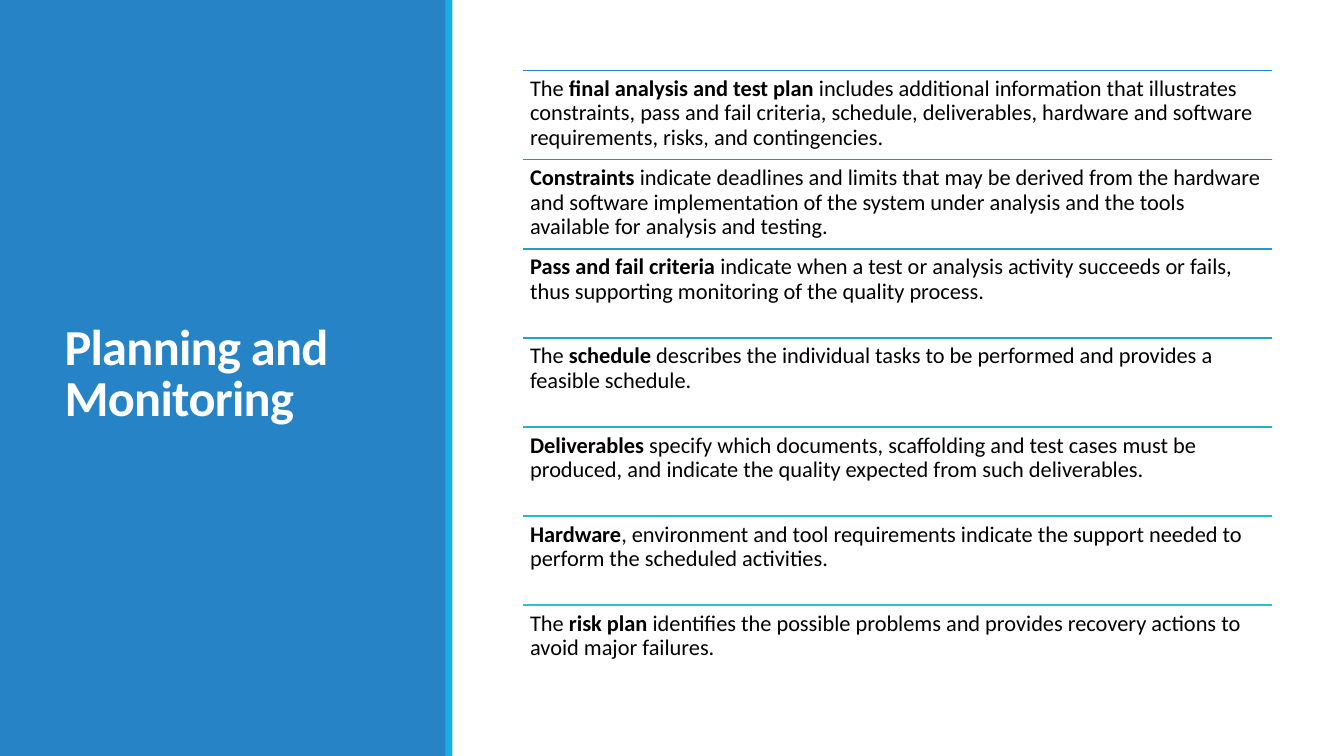
"""Build the Planning and Monitoring slide with its ruled list of plan parts."""
from pptx import Presentation
from pptx.dml.color import RGBColor as RGB
from pptx.enum.shapes import MSO_CONNECTOR as LINE, MSO_SHAPE as SHAPE
from pptx.enum.text import MSO_ANCHOR as ANCHOR, MSO_AUTO_SIZE as FIT, PP_ALIGN as ALIGN
from pptx.oxml.ns import qn
from pptx.util import Pt
from lxml.etree import SubElement as Sub

BLUE = RGB(0x26, 0x83, 0xC6)
CYAN = RGB(0x1C, 0xAD, 0xE4)
WHITE = RGB(0xFF, 0xFF, 0xFF)
BLACK = RGB(0, 0, 0)
RULES = [BLUE, RGB(0x26, 0x8E, 0xC7), RGB(0x27, 0x98, 0xC8), RGB(0x27, 0xA3, 0xC9),
         RGB(0x27, 0xAE, 0xCA), RGB(0x28, 0xB9, 0xCB), RGB(0x28, 0xC4, 0xCC)]

LEFT, TOP, WIDTH, STEP = 373.7, 50.4, 535, 63.6
HEAD = {"name": "Calibri", "size": Pt(36), "bold": True}
BODY = {"name": "Calibri", "size": Pt(16)}
FRAME = {"word_wrap": True, "auto_size": FIT.NONE, "margin_left": Pt(5), "margin_right": Pt(5),
         "margin_top": Pt(5), "margin_bottom": Pt(5)}

ITEMS = [
    ("The ", "final analysis and test plan",
     " includes additional information that illustrates constraints, pass and fail criteria, "
     "schedule, deliverables, hardware and software requirements, risks, and contingencies."),
    ("", "Constraints",
     " indicate deadlines and limits that may be derived from the hardware and software "
     "implementation of the system under analysis and the tools available for analysis and testing."),
    ("", "Pass and fail criteria",
     " indicate when a test or analysis activity succeeds or fails, "
     "thus supporting monitoring of the quality process."),
    ("The ", "schedule",
     " describes the individual tasks to be performed and provides a feasible schedule."),
    ("", "Deliverables",
     " specify which documents, scaffolding and test cases must be produced, "
     "and indicate the quality expected from such deliverables."),
    ("", "Hardware",
     ", environment and tool requirements indicate the support needed "
     "to perform the scheduled activities."),
    ("The ", "risk plan",
     " identifies the possible problems and provides recovery actions to avoid major failures."),
]


def style(obj, form):
    for key, val in form.items():
        setattr(obj, key, val)


deck = Presentation()
style(deck, {"slide_width": Pt(960), "slide_height": Pt(540)})
slide = deck.slides.add_slide(deck.slide_layouts[5])
shapes = slide.shapes
title = shapes.title

for left, width, fill in ((0, 319, BLUE), (318.2, 5, CYAN)):
    panel = shapes.add_shape(SHAPE.RECTANGLE, Pt(left), 0, Pt(width), Pt(540))
    panel.shadow.inherit = False
    panel.fill.solid()
    panel.fill.fore_color.rgb = fill
    panel.line.fill.background()

title._element.getparent().append(title._element)
style(title, {"left": Pt(38.9), "top": Pt(41), "width": Pt(242.6), "height": Pt(454.3)})
style(title.text_frame, {"text": "Planning and Monitoring", "word_wrap": True,
                         "auto_size": FIT.NONE, "vertical_anchor": ANCHOR.MIDDLE})
para = title.text_frame.paragraphs[0]
style(para, {"alignment": ALIGN.LEFT, "line_spacing": 0.85})
run = para.runs[0]
style(run.font, HEAD)
run.font.color.rgb = WHITE
run._r.get_or_add_rPr().set("spc", "-50")

for row, (parts, tint) in enumerate(zip(ITEMS, RULES)):
    top = Pt(TOP + row * STEP)
    rule = shapes.add_connector(LINE.STRAIGHT, Pt(LEFT), top, Pt(LEFT + WIDTH), top)
    rule.line.width = Pt(1.25)
    rule.line.color.rgb = tint
    Sub(rule._element.spPr, qn("a:effectLst"))

    box = shapes.add_textbox(Pt(LEFT), top, Pt(WIDTH), Pt(STEP))
    style(box.text_frame, FRAME)
    para = box.text_frame.paragraphs[0]
    para.line_spacing = 0.9
    for spot, text in enumerate(parts):
        if text:
            run = para.add_run()
            run.text = text
            style(run.font, BODY)
            run.font.bold = spot == 1
            run.font.color.rgb = BLACK

deck.save("out.pptx")
